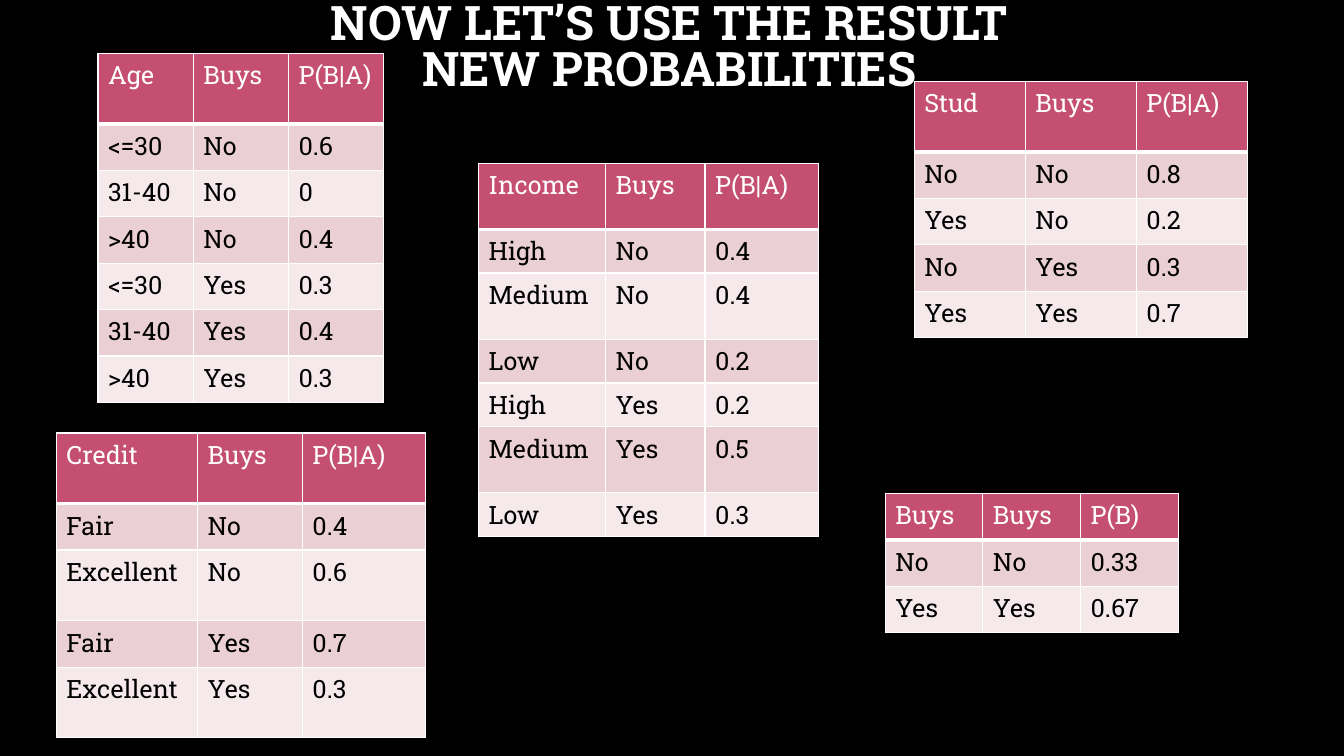
from pptx import Presentation
from pptx.dml.color import RGBColor
from pptx.enum.text import MSO_ANCHOR, PP_ALIGN
from pptx.oxml import parse_xml
from pptx.oxml.ns import nsdecls
from pptx.util import Cm, Pt

MID = MSO_ANCHOR.MIDDLE
MAIN = PP_ALIGN.CENTER
HUES = {"back": "000000", "white": "FFFFFF", "ink": "000000",
        "head": "C54F71", "odd": "EAD0D5", "even": "F5E9EB"}


def hue(name):
    return RGBColor.from_string(HUES[name])


class Deck:
    face = "Roboto Slab"

    def __init__(self, wide, high):
        self.file = Presentation()
        self.file.slide_width, self.file.slide_height = Cm(wide), Cm(high)
        self.page = self.file.slides.add_slide(self.file.slide_layouts[6])
        fill = self.page.background.fill
        fill.solid()
        fill.fore_color.rgb = hue("back")

    def style(self, font, size, tint, bold=False):
        form = {"name": self.face, "size": Pt(size), "bold": bold}
        for key, value in form.items():
            setattr(font, key, value)
        font.color.rgb = hue(tint)

    def title(self, text, box, size, gap):
        frame = self.page.shapes.add_textbox(*map(Cm, box)).text_frame
        form = {"word_wrap": True, "vertical_anchor": MID, "text": text}
        for key, value in form.items():
            setattr(frame, key, value)
        para = frame.paragraphs[0]
        para.alignment, para.line_spacing = MAIN, gap
        for run in para.runs:
            self.style(run.font, size, "white", True)

    def edge(self, cell, base):
        for side in "LRTB":
            width = Pt(base if side == "B" else 1)
            cell._tc.get_or_add_tcPr().append(parse_xml(
                f'<a:ln{side} {nsdecls("a")} w="{width}"><a:solidFill>'
                f'<a:srgbClr val="{HUES["white"]}"/></a:solidFill></a:ln{side}>'))

    def table(self, spot, cols, rows, data):
        size = sum(cols), sum(rows)
        grid = self.page.shapes.add_table(
            len(rows), len(cols), *map(Cm, spot + size)).table
        for col, width in zip(grid.columns, cols):
            col.width = Cm(width)
        for i, (row, high) in enumerate(zip(grid.rows, rows)):
            row.height = Cm(high)
            tone = "head" if i == 0 else "odd" if i % 2 else "even"
            for cell, text in zip(row.cells, data[i]):
                cell.text = text
                self.style(cell.text_frame.paragraphs[0].runs[0].font, 18,
                           "ink" if i else "white")
                self.edge(cell, 1 if i else 3)
                cell.fill.solid()
                cell.fill.fore_color.rgb = hue(tone)


def fill_in(name, keys, odds, last="P(B|A)"):
    """Pair each key with No, then with Yes, under a header row."""
    pairs = [(key, buys) for buys in ("No", "Yes") for key in keys]
    return [(name, "Buys", last)] + [
        (*pair, odd) for pair, odd in zip(pairs, odds.split())]


def main():
    deck = Deck(33.87, 19.05)
    low, tall = 1.17, 1.78

    # Left: age
    deck.table((2.47, 1.34), [2.4] * 3, [tall] + [low] * 6,
               fill_in("Age", ["<=30", "31-40", ">40"],
                       "0.6 0 0.4 0.3 0.4 0.3"))
    # Centre: income
    deck.table((12.06, 4.11), [3.2, 2.51, 2.85],
               [1.67] + [1.1, 1.67, 1.1] * 2,
               fill_in("Income", ["High", "Medium", "Low"],
                       "0.4 0.4 0.2 0.2 0.5 0.3"))
    # Right: student
    deck.table((23.04, 2.05), [2.8] * 3, [tall] + [low] * 4,
               fill_in("Stud", ["No", "Yes"], "0.8 0.2 0.3 0.7"))
    # Lower left: credit
    deck.table((1.42, 10.91), [3.56, 2.64, 3.1], [tall] + [low, tall] * 2,
               fill_in("Credit", ["Fair", "Excellent"], "0.4 0.6 0.7 0.3"))
    # Lower right: overall chance of buying
    deck.table((22.31, 12.43), [2.46] * 3, [low] * 3,
               [("Buys", "Buys", "P(B)"), ("No", "No", "0.33"),
                ("Yes", "Yes", "0.67")])
    # Title on top
    deck.title("NOW LET’S USE THE RESULT\vNEW PROBABILITIES",
               (2.49, -0.58, 28.75, 3.68), 34, 0.8)
    deck.file.save("out.pptx")


if __name__ == "__main__":
    main()
